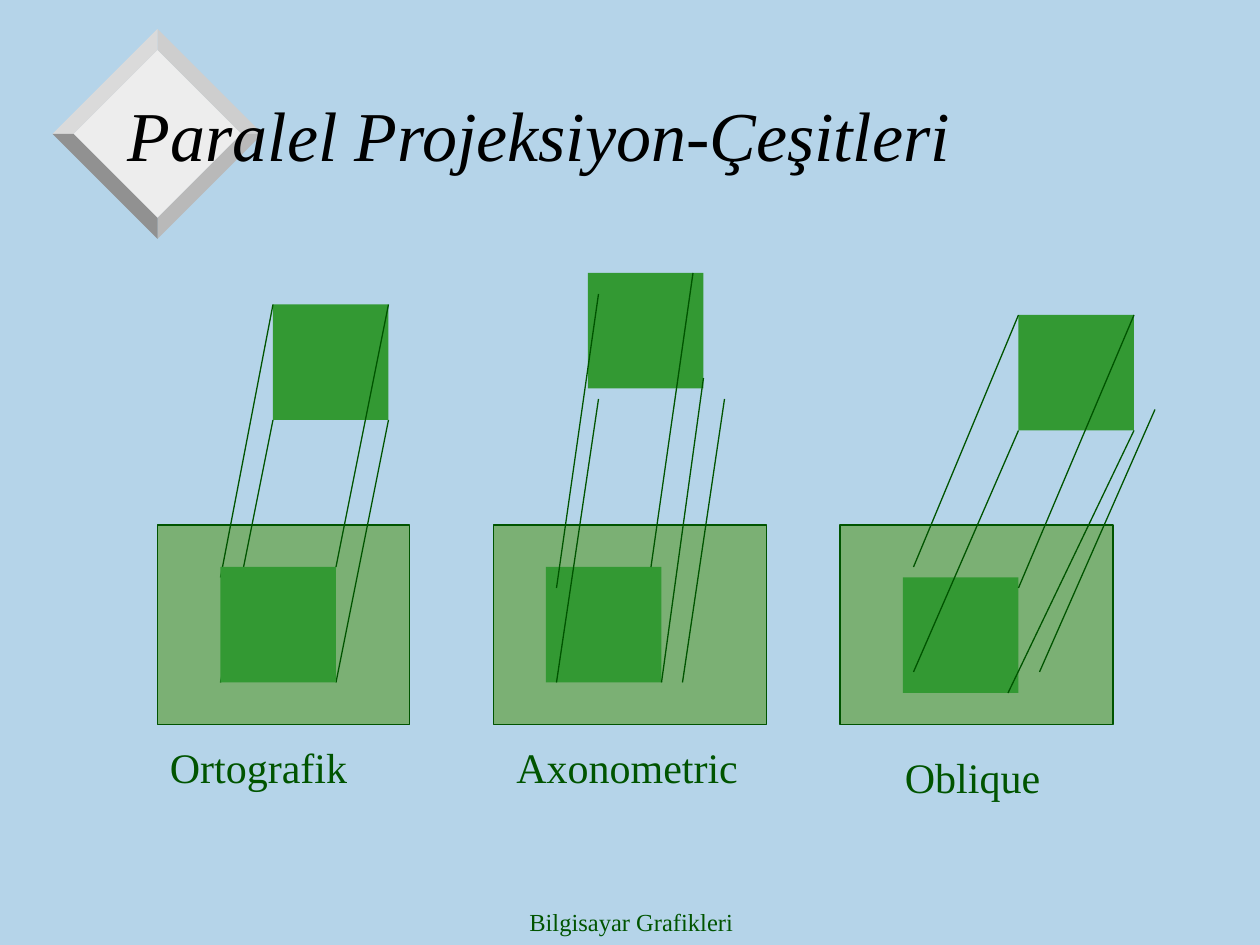
from lxml.etree import SubElement
from pptx import Presentation
from pptx.dml.color import RGBColor
from pptx.enum.shapes import MSO_CONNECTOR, MSO_SHAPE
from pptx.enum.text import MSO_ANCHOR, PP_ALIGN
from pptx.oxml.ns import qn
from pptx.util import Pt

PX = 9525  # EMU in one px, 96 px to the inch
FONT = "Times New Roman"
SQUARE = 88
COLORS = {
    "background": "B5D4E9", "title": "000000", "ink": "005400",
    "square": "339933", "plane": "438E00", "face": "EDEDED",
    "top_right": "CECECE", "top_left": "DADADA",
    "bottom_right": "B9B9B9", "bottom_left": "919191",
}

# Positions are relative to the top left corner of each projection plane.
PROJECTIONS = [
    dict(box=(120, 400, 192, 152), name="Ortografik", label=(0, 160, 200),
         source=(88, -168), image=(48, 32), image_on_top=True,
         rays=[(88, -168, 48, 40), (176, -168, 136, 32),
               (176, -80, 136, 120), (88, -80, 48, 120)]),
    dict(box=(376, 400, 208, 152), name="Axonometric", label=(8, 160, 192),
         source=(72, -192), image=(40, 32),
         rays=[(80, -96, 48, 120), (160, -112, 128, 120),
               (176, -96, 144, 120), (80, -176, 48, 48),
               (152, -192, 120, 32)]),
    dict(box=(640, 400, 208, 152), name="Oblique", label=(40, 168, 144),
         source=(136, -160), image=(48, 40),
         rays=[(136, -72, 56, 112), (224, -72, 128, 128),
               (224, -160, 136, 48), (136, -160, 56, 32),
               (240, -88, 152, 112)]),
]


def color(name):
    return RGBColor.from_string(COLORS[name])


def emu(*lengths):
    return [length * PX for length in lengths]


def add_text(slide, box, text, size, ink="ink", italic=False,
             align=PP_ALIGN.LEFT, anchor=MSO_ANCHOR.TOP):
    frame = slide.shapes.add_textbox(*emu(*box)).text_frame
    frame.word_wrap = True
    frame.vertical_anchor = anchor
    paragraph = frame.paragraphs[0]
    paragraph.alignment = align
    run = paragraph.add_run()
    run.text = text
    run.font.name = FONT
    run.font.size = Pt(size)
    run.font.italic = italic
    run.font.color.rgb = color(ink)


def add_rectangle(slide, box, fill):
    rectangle = slide.shapes.add_shape(MSO_SHAPE.RECTANGLE, *emu(*box))
    rectangle.shadow.inherit = False
    rectangle.fill.solid()
    rectangle.fill.fore_color.rgb = color(fill)
    rectangle.line.fill.background()
    return rectangle


def add_plane(slide, box):
    """Half-transparent, outlined projection plane."""
    plane = add_rectangle(slide, box, "plane")
    plane.line.color.rgb = color("ink")
    plane.line.width = Pt(0.75)
    fill_color = plane.fill._xPr.find(qn("a:solidFill"))[0]
    SubElement(fill_color, qn("a:alpha"), val="50000")


def add_ray(slide, start, end):
    ray = slide.shapes.add_connector(MSO_CONNECTOR.STRAIGHT, *emu(*start, *end))
    ray.line.color.rgb = color("ink")
    ray.line.width = Pt(0.75)
    SubElement(ray._element.spPr, qn("a:effectLst"))


def add_bevelled_diamond(slide, box, bevel):
    left, top, size = box
    outer = size // 2
    inner = outer - bevel
    center_x, center_y = left + outer, top + outer

    def add_facet(points, fill):
        (start_x, start_y), *others = [(center_x + x, center_y + y) for x, y in points]
        builder = slide.shapes.build_freeform(start_x, start_y, scale=PX)
        builder.add_line_segments(others, close=True)
        facet = builder.convert_to_shape()
        facet.shadow.inherit = False
        facet.fill.solid()
        facet.fill.fore_color.rgb = color(fill)
        facet.line.fill.background()

    add_facet([(0, -inner), (-inner, 0), (0, inner), (inner, 0)], "face")
    for x, y, fill in [(1, -1, "top_right"), (-1, -1, "top_left"),
                       (1, 1, "bottom_right"), (-1, 1, "bottom_left")]:
        add_facet([(0, y * inner), (0, y * outer), (x * outer, 0), (x * inner, 0)], fill)


def add_projection(slide, box, name, label, source, image, rays, image_on_top=False):
    """Plane with its label, the source square, its image and the rays between."""
    left, top, width, height = box

    def place(x, y):
        return left + x, top + y

    def add_square(corner):
        add_rectangle(slide, (*place(*corner), SQUARE, SQUARE), "square")

    add_plane(slide, (left, top, width, height))
    label_x, label_y, label_width = label
    add_text(slide, (*place(label_x, label_y), label_width, 48), name, 24)
    add_square(source)
    if not image_on_top:
        add_square(image)
    for x1, y1, x2, y2 in rays:
        add_ray(slide, place(x1, y1), place(x2, y2))
    if image_on_top:
        add_square(image)


def main():
    presentation = Presentation()
    presentation.slide_width, presentation.slide_height = emu(960, 720)
    slide = presentation.slides.add_slide(presentation.slide_layouts[6])
    slide.background.fill.solid()
    slide.background.fill.fore_color.rgb = color("background")

    add_bevelled_diamond(slide, (40, 22, 160), bevel=16)
    add_text(slide, (329, 686, 304, 34), "Bilgisayar Grafikleri", 14,
             align=PP_ALIGN.CENTER)
    add_text(slide, (88, 44, 816, 116), "Paralel Projeksiyon-Çeşitleri", 40,
             ink="title", italic=True, anchor=MSO_ANCHOR.MIDDLE)
    for projection in PROJECTIONS:
        add_projection(slide, **projection)
    presentation.save("out.pptx")


if __name__ == "__main__":
    main()
